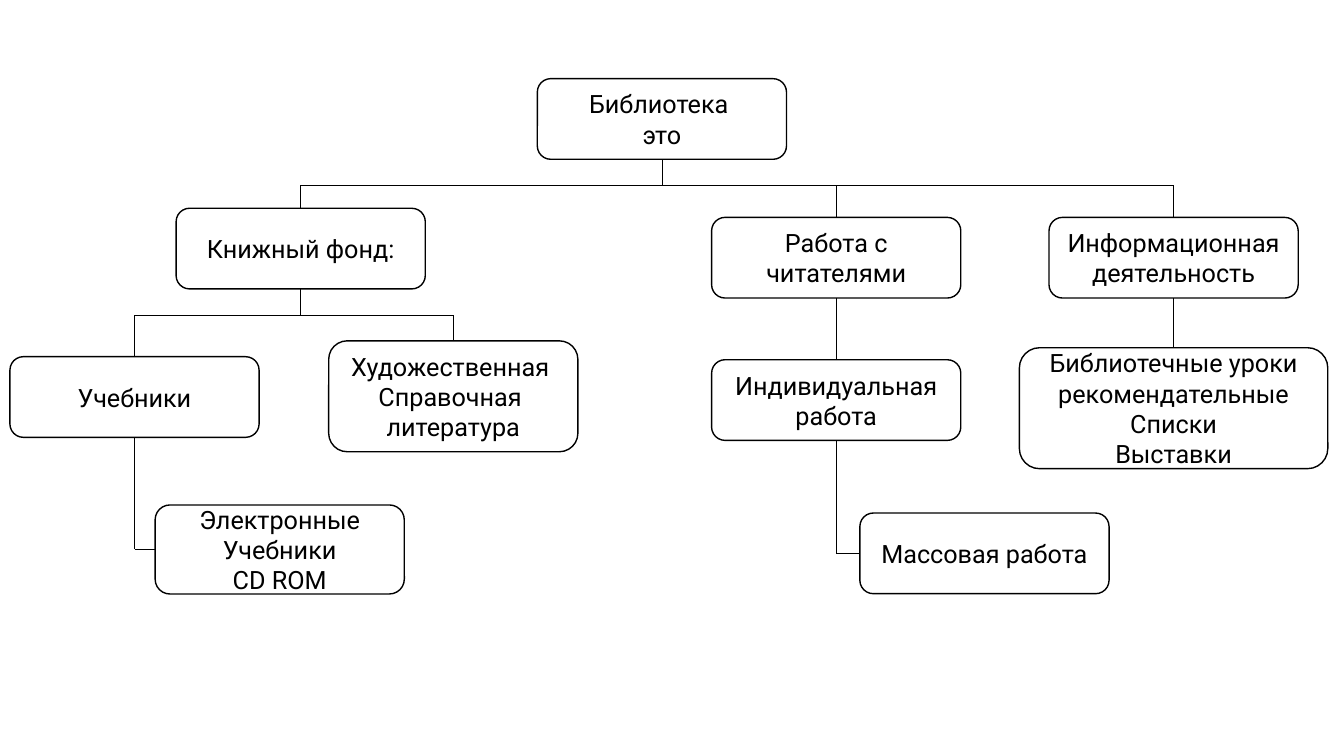
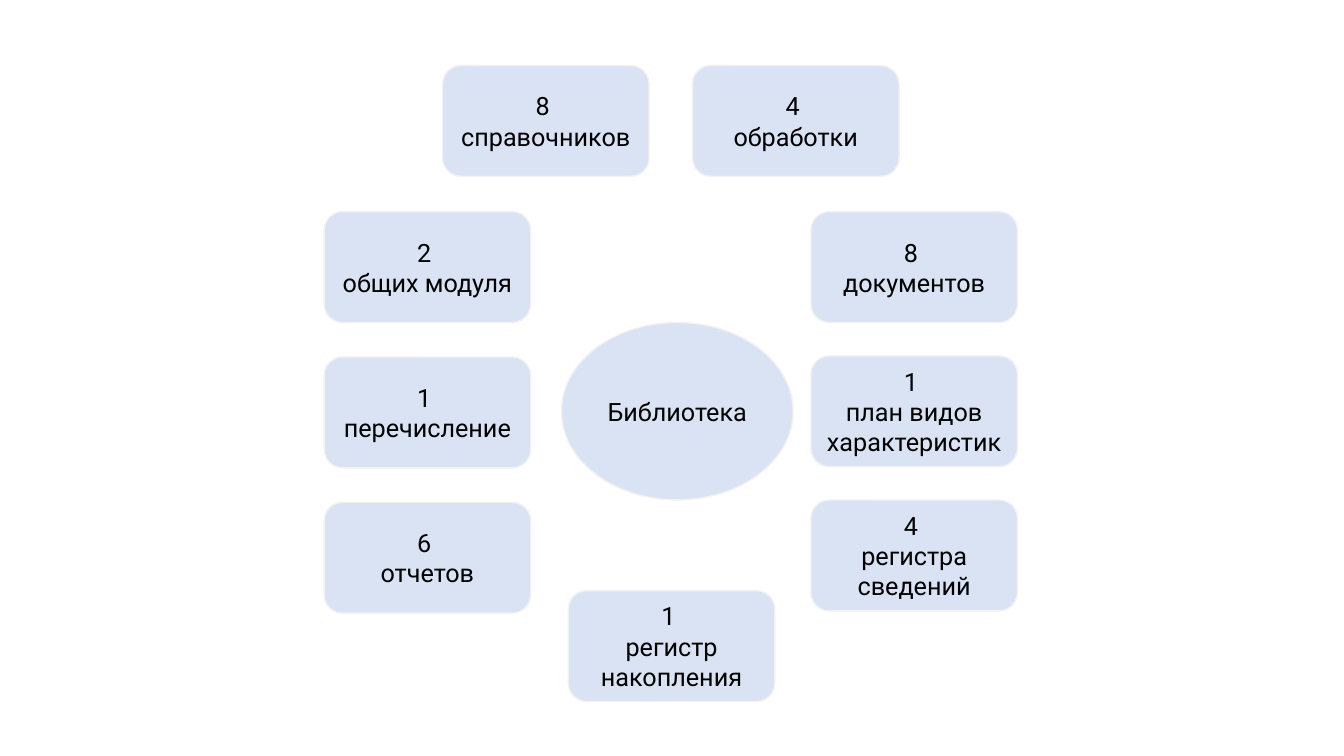
"""Build two slides on a library: its branches of work and the parts of its system."""
import dataclasses

import pptx
import pptx.dml.color
import pptx.enum.shapes
import pptx.enum.text
import pptx.oxml
import pptx.util

Pt = pptx.util.Pt
Form = pptx.enum.shapes.MSO_SHAPE


@dataclasses.dataclass(frozen=True)
class Theme:
    font: str = "Roboto"
    size: float = 18
    ink: str = "000000"
    paper: str = "FFFFFF"
    tint: str = "DAE3F3"
    edge: str = "F3F2F2"
    rim: float = 1
    thin: float = 0.5


theme = Theme()
color = pptx.dml.color.RGBColor.from_string


def box(slide, form, mid, top, width, height, text, fill, edge):
    shape = slide.shapes.add_shape(form, Pt(mid - width / 2), Pt(top), Pt(width), Pt(height))
    shape.shadow.inherit = False
    shape.fill.solid()
    shape.fill.fore_color.rgb = color(fill)
    shape.line.color.rgb = color(edge)
    shape.line.width = Pt(theme.rim)
    frame = shape.text_frame
    frame.word_wrap = True
    frame.vertical_anchor = pptx.enum.text.MSO_ANCHOR.MIDDLE
    frame.text = text
    for para in frame.paragraphs:
        para.alignment = pptx.enum.text.PP_ALIGN.CENTER
        for run in para.runs:
            run.font.name = theme.font
            run.font.size = Pt(theme.size)
            run.font.color.rgb = color(theme.ink)
    return shape


def wire(slide, start, end, head=None, tail=None):
    line = slide.shapes.add_connector(
        pptx.enum.shapes.MSO_CONNECTOR.STRAIGHT, *map(Pt, start + end))
    line.line.color.rgb = color(theme.ink)
    line.line.width = Pt(theme.thin)
    line._element.spPr.append(pptx.oxml.parse_xml(
        '<a:effectLst xmlns:a="http://schemas.openxmlformats.org/drawingml/2006/main"/>'))
    if head:
        line.begin_connect(*head)
    if tail:
        line.end_connect(*tail)


deck = pptx.Presentation()
deck.slide_width, deck.slide_height = Pt(960), Pt(540)
blank = deck.slide_layouts[6]

tree = deck.slides.add_slide(blank)
wide, high = 178, 57.6
nodes = {
    "root": (472.8, 56.2, wide, high, "Библиотека \nэто"),
    "events": (703.2, 366.5, wide, high, "Массовая работа"),
    "lessons": (838.3, 248.4, 220.3, 86.4,
                "Библиотечные уроки рекомендательные\nСписки\nВыставки"),
    "solo": (597.3, 257, wide, high, "Индивидуальная работа"),
    "readers": (597.3, 155.3, wide, high, "Работа с читателями"),
    "info": (838.3, 155.3, wide, high, "Информационная деятельность"),
    "discs": (199.8, 360.7, wide, 63.6, "Электронные\nУчебники\nCD ROM"),
    "fiction": (323.8, 243.5, wide, 79.2, "Художественная \nСправочная \nлитература"),
    "textbooks": (96.1, 254.8, wide, high, "Учебники"),
    "stock": (214.8, 148.8, wide, high, "Книжный фонд:"),
}
cards = {name: box(tree, Form.ROUNDED_RECTANGLE, *node, theme.paper, theme.ink)
         for name, node in nodes.items()}

for top, bar, kids in (("root", 132.5, ("stock", "readers", "info")),
                       ("stock", 225.3, ("textbooks", "fiction"))):
    mid, y, _, tall, _ = nodes[top]
    wire(tree, (mid, y + tall), (mid, bar), head=(cards[top], 2))
    wire(tree, (nodes[kids[0]][0], bar), (nodes[kids[-1]][0], bar))
    for kid in kids:
        x, y = nodes[kid][:2]
        wire(tree, (x, y), (x, bar), head=(cards[kid], 0))

for top, kid in (("readers", "solo"), ("info", "lessons")):
    mid, y, _, tall, _ = nodes[top]
    wire(tree, (mid, y + tall), nodes[kid][:2], (cards[top], 2), (cards[kid], 0))

for top, kid in (("textbooks", "discs"), ("solo", "events")):
    mid, y, _, tall, _ = nodes[top]
    x, low, span, deep, _ = nodes[kid]
    turn = low + deep / 2
    wire(tree, (mid, y + tall), (mid, turn), head=(cards[top], 2))
    wire(tree, (mid, turn), (x - span / 2, turn), tail=(cards[kid], 1))

parts = deck.slides.add_slide(blank)
box(parts, Form.OVAL, 483.8, 230.4, 165.6, 126.7, "Библиотека", theme.tint, theme.edge)

left, right, first = 305.3, 653, 151.2
tiles = [(389.9, 46.8, "8 \nсправочников"), (568.4, 46.8, "4 \nобработки"),
         (479.7, 421.9, "1 \nрегистр накопления")]
for mid, step, texts in (
        (left, 103.8, ("2 \nобщих модуля", "1 \nперечисление", "6 \nотчетов")),
        (right, 103, ("8 \nдокументов", "1 \nплан видов характеристик",
                      "4 \nрегистра сведений"))):
    tiles += [(mid, first + row * step, text) for row, text in enumerate(texts)]
for mid, top, text in tiles:
    box(parts, Form.ROUNDED_RECTANGLE, mid, top, 147.6, 79.2, text, theme.tint, theme.edge)

deck.save("out.pptx")
